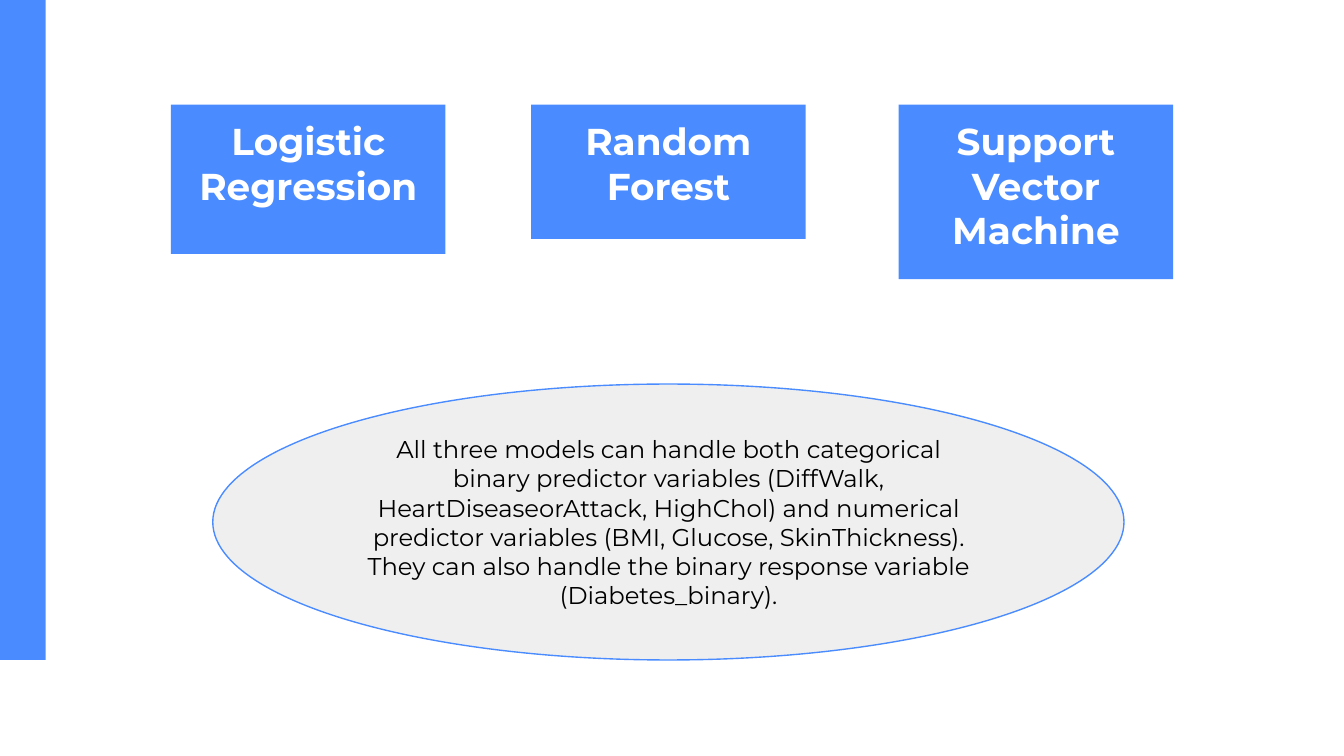
from dataclasses import dataclass

from pptx import Presentation
from pptx import util as u
from pptx.dml.color import RGBColor
from pptx.enum import shapes, text


@dataclass(frozen=True)
class Theme:
    blue: RGBColor = RGBColor(0x4A, 0x8C, 0xFF)
    grey: RGBColor = RGBColor(0xEF, 0xEF, 0xEF)
    white: RGBColor = RGBColor(0xFF, 0xFF, 0xFF)
    black: RGBColor = RGBColor(0x00, 0x00, 0x00)
    font: str = "Montserrat"
    heading_size: u.Pt = u.Pt(20)
    body_size: u.Pt = u.Pt(13)
    outline: u.Pt = u.Pt(0.75)
    inset: u.Inches = u.Inches(0.1)


THEME = Theme()
WIDTH = u.Inches(10)
HEIGHT = WIDTH * 9 // 16

MODEL_TOP, MODEL_WIDTH = 13.83, 20.43
MODELS = [
    ("Logistic Regression", 12.72, 19.76),
    ("Random Forest", 39.52, 17.78),
    ("Support Vector Machine", 66.87, 23.1),
]
SUMMARY = (
    "All three models can handle both categorical binary predictor variables "
    "(DiffWalk, HeartDiseaseorAttack, HighChol) and numerical predictor variables "
    "(BMI, Glucose, SkinThickness). They can also handle the binary response "
    "variable (Diabetes_binary)."
)


def percent_box(left, top, width, height):
    return (
        round(WIDTH * left / 100),
        round(HEIGHT * top / 100),
        round(WIDTH * width / 100),
        round(HEIGHT * height / 100),
    )


def add_block(slide, kind, box, fill, outline=None):
    shape = slide.shapes.add_shape(kind, *percent_box(*box))
    shape.shadow.inherit = False
    shape.fill.solid()
    shape.fill.fore_color.rgb = fill
    if outline is None:
        shape.line.fill.background()
    else:
        shape.line.color.rgb = outline
        shape.line.width = THEME.outline
    return shape


def set_label(shape, wording, size, color, anchor, bold=False):
    frame = shape.text_frame
    frame.text = wording
    frame.word_wrap = True
    frame.vertical_anchor = anchor
    frame.margin_left = frame.margin_right = THEME.inset
    frame.margin_top = frame.margin_bottom = THEME.inset
    paragraph = frame.paragraphs[0]
    paragraph.alignment = text.PP_ALIGN.CENTER
    for run in paragraph.runs:
        run.font.name = THEME.font
        run.font.size = size
        run.font.bold = bold
        run.font.color.rgb = color


def add_model(slide, name, left, height):
    box = (left, MODEL_TOP, MODEL_WIDTH, height)
    shape = add_block(slide, shapes.MSO_SHAPE.RECTANGLE, box, THEME.blue)
    set_label(shape, name, THEME.heading_size, THEME.white, text.MSO_ANCHOR.TOP, bold=True)


def add_summary(slide):
    box = (15.83, 50.8, 67.8, 36.5)
    shape = add_block(slide, shapes.MSO_SHAPE.OVAL, box, THEME.grey, THEME.blue)
    set_label(shape, SUMMARY, THEME.body_size, THEME.black, text.MSO_ANCHOR.MIDDLE)


def main():
    presentation = Presentation()
    presentation.slide_width, presentation.slide_height = WIDTH, HEIGHT
    slide = presentation.slides.add_slide(presentation.slide_layouts[6])

    add_block(slide, shapes.MSO_SHAPE.RECTANGLE, (0, 0, 3.4, 87.3), THEME.blue)
    for name, left, height in MODELS:
        add_model(slide, name, left, height)
    add_summary(slide)

    presentation.save("out.pptx")


if __name__ == "__main__":
    main()
